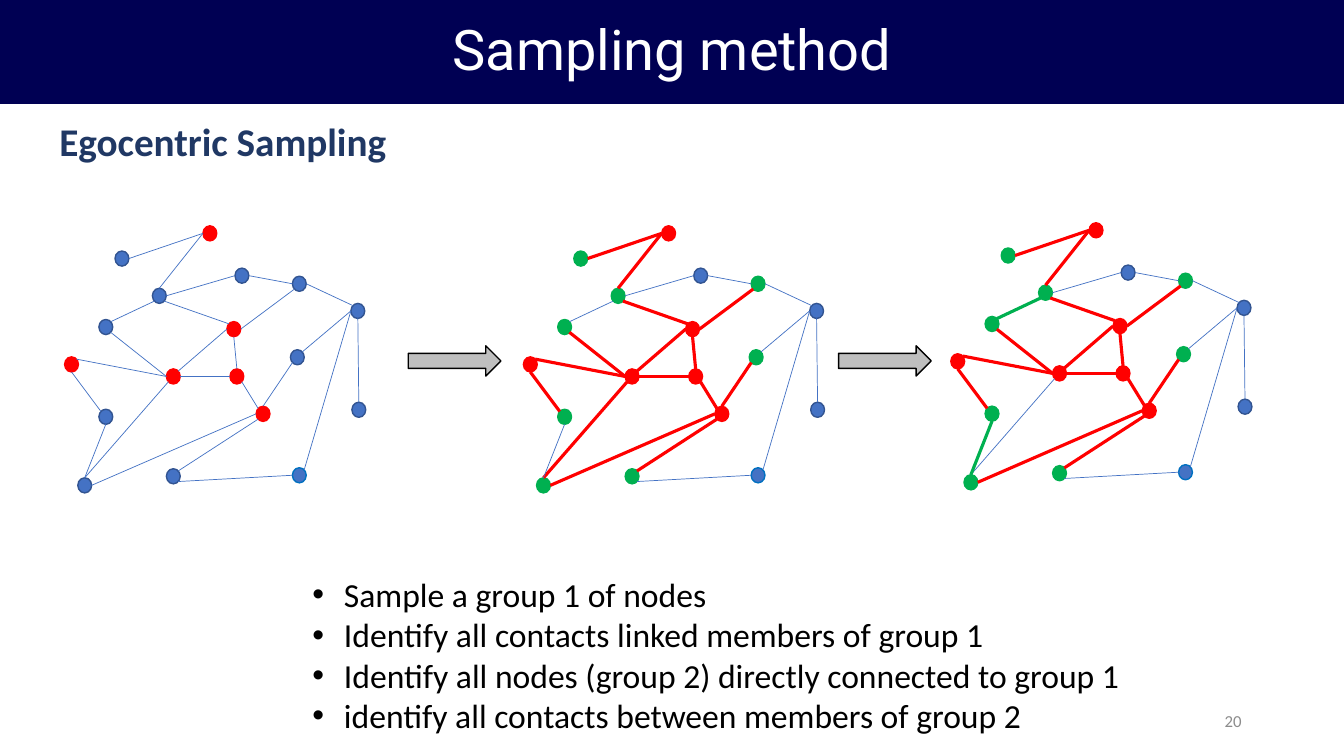
"""Builds the slide on egocentric sampling with three stages of one contact network."""
from lxml.etree import SubElement
from pptx import Presentation
from pptx.dml.color import RGBColor
from pptx.enum.shapes import MSO_CONNECTOR as CONN, MSO_SHAPE as SHAPE
from pptx.enum.text import MSO_ANCHOR as ANCHOR, MSO_AUTO_SIZE as AUTO, PP_ALIGN as ALIGN
from pptx.oxml.ns import qn
from pptx.util import Pt

COLORS = {
    "navy": "000053", "heading": "203864", "white": "FFFFFF", "black": "000000",
    "number": "8C8C8C", "arrow": "BFBFBF", "red": "FF0000", "green": "00B050",
    "blue": "4472C4", "blue_edge": "325491", "bright_edge": "0070C0",
}
NODE_W, NODE_H = 9.9, 10.8
NODES = {
    "A": (149.9, 166.7), "B": (75.6, 233.6), "C": (123.8, 268.9),
    "D": (75.6, 297.7), "E": (113.8, 211.3), "F": (187.9, 295.6),
    "G": (123.8, 340.2), "H": (167, 235.1), "I": (213.8, 339.5),
    "J": (212.4, 255.2), "K": (60.5, 346.7), "L": (255.6, 222.1),
    "M": (213.8, 202.7), "N": (87.1, 184.7), "O": (51.1, 260.3),
    "P": (169.2, 268.9), "Q": (172.8, 196.9), "R": (256.3, 292.7),
}
SITES = {
    "n": (0, -0.5), "s": (0, 0.5), "w": (-0.5, 0), "e": (0.5, 0),
    "nw": (-0.35, -0.35), "ne": (0.35, -0.35),
    "sw": (-0.35, 0.35), "se": (0.35, 0.35),
}
EDGES = [
    ("E", "n", "A", "w"), ("C", "w", "B", "se"), ("C", "ne", "H", "w"),
    ("H", "e", "M", "sw"), ("K", "n", "C", "sw"), ("K", "n", "D", "s"),
    ("F", "n", "J", "sw"), ("G", "ne", "F", "sw"), ("K", "e", "F", "w"),
    ("G", "se", "I", "w"), ("I", "ne", "L", "w"), ("B", "ne", "E", "sw"),
    ("H", "nw", "E", "se"), ("J", "ne", "L", "w"), ("N", "e", "A", "w"),
    ("O", "ne", "C", "w"), ("O", "s", "D", "nw"), ("R", "n", "L", "s"),
    ("P", "n", "H", "s"), ("Q", "e", "M", "w"), ("E", "e", "Q", "w"),
    ("P", "se", "F", "nw"), ("M", "e", "L", "nw"), ("C", "e", "P", "w"),
]
GROUP_1 = set("ACFHOP")
GROUP_2 = {n for a, _, b, _ in EDGES if {a, b} & GROUP_1 for n in (a, b)} - GROUP_1
STEPS = [
    "Sample a group 1 of nodes",
    "Identify all contacts linked members of group 1",
    "Identify all nodes (group 2) directly connected to group 1",
    "identify all contacts between members of group 2",
]


def rgb(name):
    return RGBColor.from_string(COLORS[name])


def place(sp, x, y, w, h):
    sp.left, sp.top, sp.width, sp.height = Pt(x), Pt(y), Pt(w), Pt(h)


def set_font(p, size, color, name="Calibri", bold=False):
    f = p.font
    f.size, f.name, f.bold = Pt(size), name, bold
    f.color.rgb = rgb(color)


def add_title(s, text):
    sp = s.shapes.title
    place(sp, 0, 0, 960, 74.2)
    sp.fill.solid()
    sp.fill.fore_color.rgb = rgb("navy")
    tf = sp.text_frame
    tf.text = text
    tf.auto_size, tf.vertical_anchor = AUTO.NONE, ANCHOR.MIDDLE
    p = tf.paragraphs[0]
    p.alignment, p.line_spacing = ALIGN.CENTER, 0.9
    set_font(p, 40, "white", "Roboto")


def add_steps(s, steps):
    sp = s.placeholders[1]
    place(sp, 216, 406.4, 590.4, 123.8)
    tf = sp.text_frame
    tf.text = "\n".join(steps)
    tf.auto_size, tf.vertical_anchor = AUTO.NONE, ANCHOR.TOP
    tf.margin_right = Pt(0)
    for p in tf.paragraphs:
        p.space_before = Pt(0)
        set_font(p, 24, "black")
        pPr = p._p.get_or_add_pPr()
        pPr.set("marL", str(Pt(22.5)))
        pPr.set("indent", str(-Pt(22.5)))


def add_label(s, text, box, size, color, align=ALIGN.LEFT, anchor=ANCHOR.TOP, bold=False):
    tf = s.shapes.add_textbox(*map(Pt, box)).text_frame
    tf.text, tf.vertical_anchor = text, anchor
    p = tf.paragraphs[0]
    p.alignment = align
    set_font(p, size, color, bold=bold)


def add_preset(s, kind, box, fill, line):
    sp = s.shapes.add_shape(kind, *map(Pt, box))
    sp.shadow.inherit = False
    sp.fill.solid()
    sp.fill.fore_color.rgb = rgb(fill)
    sp.line.color.rgb = rgb(line)
    sp.line.width = Pt(1)


def add_edge(s, start, end, color, width):
    c = s.shapes.add_connector(CONN.STRAIGHT, *map(Pt, start + end))
    c.line.color.rgb = rgb(color)
    c.line.width = Pt(width)
    SubElement(c._element.spPr, qn("a:effectLst"))


def node_colors(node, stage):
    if node in GROUP_1:
        return "red", "red"
    if node in GROUP_2 and stage > 1:
        return "green", "green"
    return "blue", "bright_edge" if node == "I" else "blue_edge"


def edge_style(a, b, stage):
    if stage > 1 and {a, b} & GROUP_1 and not (stage == 3 and (a, b) == ("K", "C")):
        return "red", 2.25
    if stage == 3 and {a, b} <= GROUP_2:
        return "green", 2.25
    return "blue", 0.5


def add_network(s, stage, dx, dy):
    def site(node, side):
        (x, y), (u, v) = NODES[node], SITES[side]
        return x + dx + u * NODE_W, y + dy + v * NODE_H

    for node, (x, y) in NODES.items():
        box = (x + dx - NODE_W / 2, y + dy - NODE_H / 2, NODE_W, NODE_H)
        add_preset(s, SHAPE.OVAL, box, *node_colors(node, stage))
    for a, side_a, b, side_b in EDGES:
        add_edge(s, site(a, side_a), site(b, side_b), *edge_style(a, b, stage))


def main():
    prs = Presentation()
    prs.slide_width, prs.slide_height = Pt(960), Pt(540)
    s = prs.slides.add_slide(prs.slide_layouts[1])
    add_title(s, "Sampling method")
    add_label(s, "20", (678, 500.5, 216, 28.8), 12, "number", ALIGN.RIGHT, ANCHOR.MIDDLE)
    add_label(s, "Egocentric Sampling", (35.3, 80, 250.6, 41), 28, "heading", bold=True)
    add_steps(s, STEPS)
    for stage, (dx, dy) in enumerate([(0, 0), (327.7, 0), (633, -2.2)], 1):
        add_network(s, stage, dx, dy)
    for x in (291.6, 599):
        add_preset(s, SHAPE.RIGHT_ARROW, (x, 247, 66.2, 21.6), "arrow", "black")
    prs.save("out.pptx")


if __name__ == "__main__":
    main()
